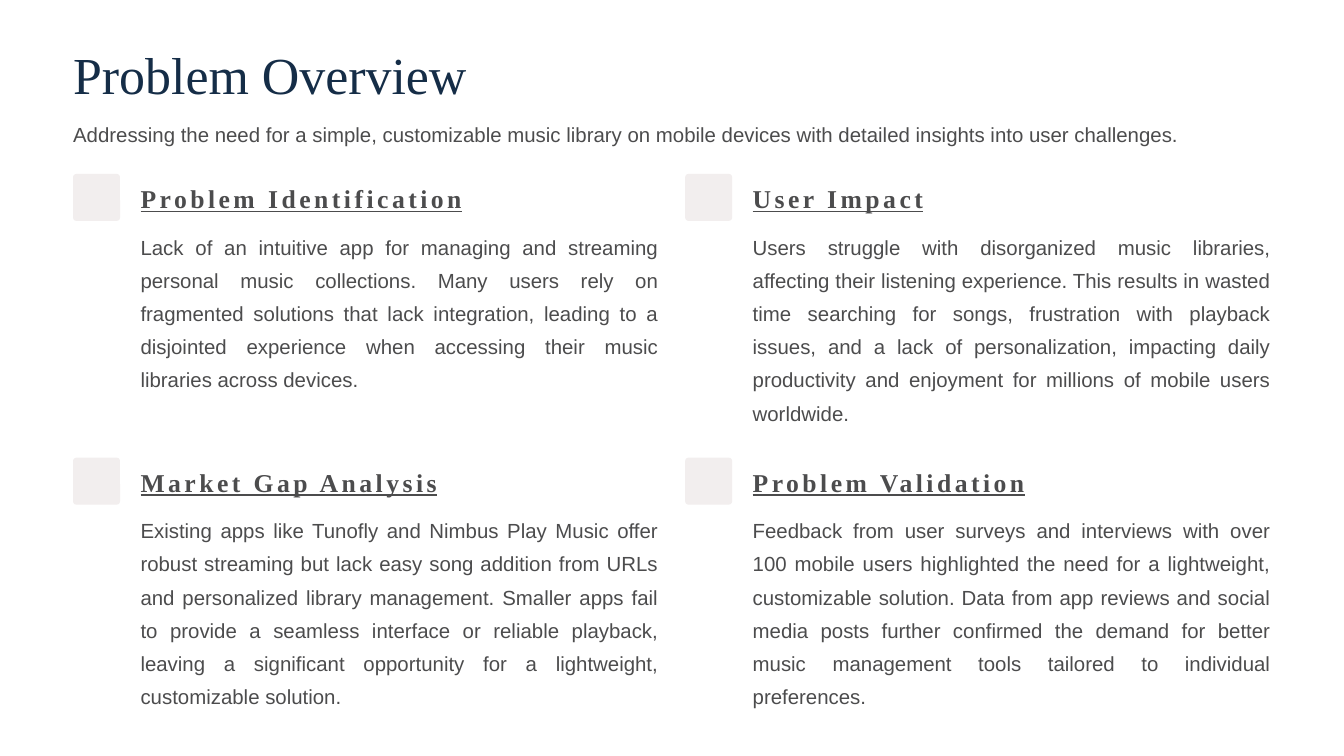
from dataclasses import dataclass

from pptx import Presentation
from pptx.dml.color import RGBColor
from pptx.enum.shapes import MSO_SHAPE as Preset
from pptx.enum.text import MSO_ANCHOR as Anchor, MSO_AUTO_SIZE as AutoSize, PP_ALIGN as Align
from pptx.oxml.xmlchemy import OxmlElement
from pptx.util import Cm, Pt


@dataclass(frozen=True)
class TextStyle:
    font: str
    size: float
    leading: float
    color: str
    align: Align = Align.LEFT
    wrap: bool = True
    heading: bool = False


@dataclass(frozen=True)
class Theme:
    background: str = "FFFFFF"
    tile: str = "F2EEEE"
    title: TextStyle = TextStyle("Times New Roman", 44.5, 55.5, "152D47", wrap=False)
    intro: TextStyle = TextStyle("Arial", 17.5, 28.5, "4C4C4D")
    heading: TextStyle = TextStyle("Times New Roman", 22, 27.5, "4C4C4D", wrap=False, heading=True)
    detail: TextStyle = TextStyle("Arial", 17.5, 28.5, "4C4C4D", align=Align.JUSTIFY)


def write(holder, box, text, style):
    """Place a text holder at box (left, top, width, height in cm) and fill it with one styled run."""
    holder.left, holder.top, holder.width, holder.height = [Cm(length) for length in box]
    frame = holder.text_frame
    frame.auto_size = AutoSize.NONE
    frame.word_wrap = style.wrap
    frame.vertical_anchor = Anchor.TOP
    frame.margin_left = frame.margin_top = frame.margin_right = frame.margin_bottom = 0
    paragraph = frame.paragraphs[0]
    paragraph.alignment = style.align
    paragraph.line_spacing = Pt(style.leading)
    paragraph.space_before = Pt(0)
    run = paragraph.add_run()
    run.text = text
    run.font.name = style.font
    run.font.size = Pt(style.size)
    run.font.color.rgb = RGBColor.from_string(style.color)
    run.font.bold = run.font.underline = style.heading
    if style.heading:
        run.font._element.set("spc", "300")
    return paragraph


theme = Theme()
topics = [
    ("Problem Identification",
     "Lack of an intuitive app for managing and streaming personal music collections. "
     "Many users rely on fragmented solutions that lack integration, leading to a "
     "disjointed experience when accessing their music libraries across devices."),
    ("User Impact",
     "Users struggle with disorganized music libraries, affecting their listening "
     "experience. This results in wasted time searching for songs, frustration with "
     "playback issues, and a lack of personalization, impacting daily productivity and "
     "enjoyment for millions of mobile users worldwide."),
    ("Market Gap Analysis",
     "Existing apps like Tunofly and Nimbus Play Music offer robust streaming but lack "
     "easy song addition from URLs and personalized library management. Smaller apps "
     "fail to provide a seamless interface or reliable playback, leaving a significant "
     "opportunity for a lightweight, customizable solution."),
    ("Problem Validation",
     "Feedback from user surveys and interviews with over 100 mobile users highlighted "
     "the need for a lightweight, customizable solution. Data from app reviews and "
     "social media posts further confirmed the demand for better music management tools "
     "tailored to individual preferences."),
]

# Layout in cm
MARGIN = 2.21
GRID_TOP = 5.26
COLUMN_PITCH, ROW_PITCH = 18.51, 8.58
TILE = 1.42
TEXT_INDENT = 2.04

deck = Presentation()
deck.slide_width, deck.slide_height = Cm(40.64), Cm(22.86)
slide = deck.slides.add_slide(deck.slide_layouts[1])
slide.background.fill.solid()
slide.background.fill.fore_color.rgb = RGBColor.from_string(theme.background)

title, intro = slide.placeholders
write(title, (MARGIN, 1.22, 15.75, 1.98), "Problem Overview", theme.title)
intro_line = write(
    intro, (MARGIN, 3.43, 36.22, 1.5),
    "Addressing the need for a simple, customizable music library on mobile devices "
    "with detailed insights into user challenges.", theme.intro)
intro_format = intro_line._p.get_or_add_pPr()
intro_format.set("marL", "0")
intro_format.set("indent", "0")
intro_format.append(OxmlElement("a:buNone"))

for index, (heading, detail) in enumerate(topics):
    row, column = divmod(index, 2)
    left = MARGIN + column * COLUMN_PITCH
    top = GRID_TOP + row * ROW_PITCH

    tile = slide.shapes.add_shape(Preset.ROUNDED_RECTANGLE, Cm(left), Cm(top), Cm(TILE), Cm(TILE))
    tile.adjustments[0] = 0.07
    tile.shadow.inherit = False
    tile.fill.solid()
    tile.fill.fore_color.rgb = RGBColor.from_string(theme.tile)
    tile.line.fill.background()

    for text, style, drop, width, height in (
        (heading, theme.heading, 0.23, 7.87, 0.99),
        (detail, theme.detail, 1.57, 15.67, 7.04),
    ):
        write(slide.shapes.add_textbox(0, 0, 0, 0),
              (left + TEXT_INDENT, top + drop, width, height), text, style)

deck.save("out.pptx")
